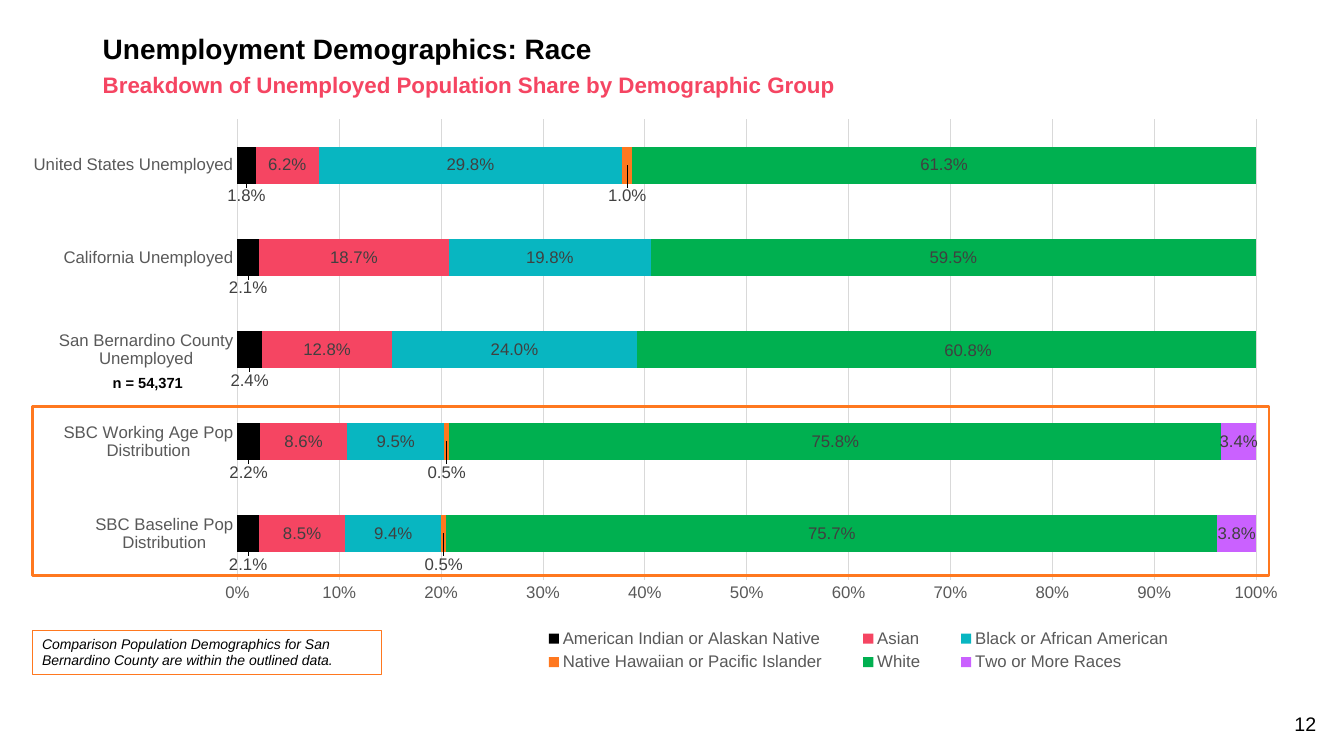
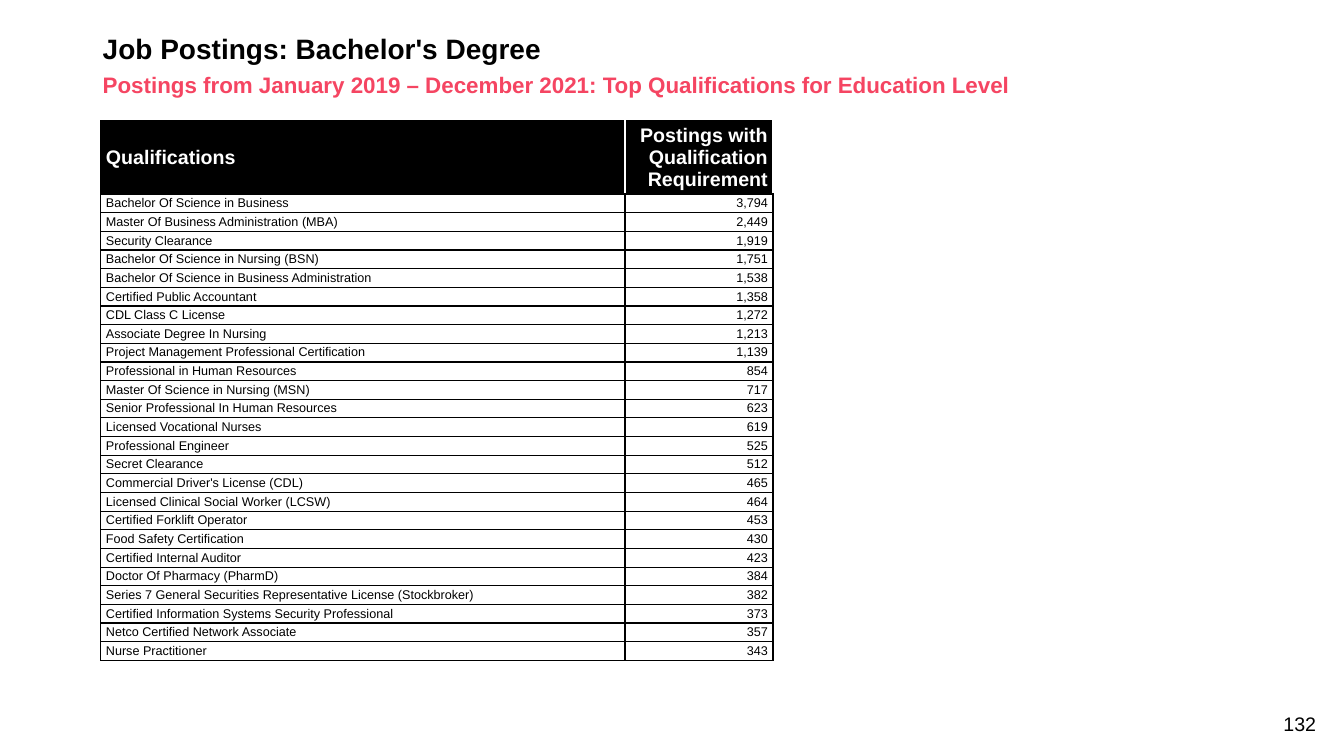
"""Build two workforce slides: unemployment by race and top job qualifications."""
from pptx import Presentation, util as u
from pptx.chart.data import CategoryChartData
from pptx.dml.color import RGBColor
from pptx.enum import chart as ch, shapes, text
from pptx.oxml import parse_xml
from pptx.oxml.ns import nsdecls, qn

BLACK = RGBColor(0, 0, 0)
WHITE = RGBColor(255, 255, 255)
PINK = RGBColor(0xF5, 0x45, 0x62)
TEAL = RGBColor(0x08, 0xB6, 0xC1)
ORANGE = RGBColor(0xFF, 0x78, 0x1F)
GREEN = RGBColor(0x00, 0xB0, 0x50)
PURPLE = RGBColor(0xCA, 0x61, 0xFF)
GRID = RGBColor(0xD9, 0xD9, 0xD9)
GRAY = RGBColor(0x59, 0x59, 0x59)
DARK = RGBColor(0x40, 0x40, 0x40)
FACE = "Arial"
LEFT, RIGHT = text.PP_ALIGN.LEFT, text.PP_ALIGN.RIGHT
TOP, MID, BASE = text.MSO_ANCHOR.TOP, text.MSO_ANCHOR.MIDDLE, text.MSO_ANCHOR.BOTTOM


def write(frame, words, size, color=BLACK, bold=False, align=LEFT, anchor=TOP):
    """Fill a text frame or table cell with one styled paragraph."""
    frame.text = words
    frame.word_wrap = True
    frame.vertical_anchor = anchor
    para = frame.paragraphs[0]
    para.alignment = align
    font = para.font
    font.name, font.size, font.bold = FACE, u.Pt(size), bold
    font.color.rgb = color
    return para


def layout(**parts):
    """Return a manual chart layout with the given settings in order."""
    tags = "".join(f'<c:{name} val="{value}"/>' for name, value in parts.items())
    return parse_xml(f'<c:layout {nsdecls("c")}><c:manualLayout>{tags}</c:manualLayout></c:layout>')


deck = Presentation()
deck.slide_width, deck.slide_height = u.Cm(33.87), u.Cm(19.05)
pages = []
for title, lead, number in (
    ("Unemployment Demographics: Race",
     "Breakdown of Unemployed Population Share by Demographic Group", "12"),
    ("Job Postings: Bachelor's Degree",
     "Postings from January 2019 – December 2021: Top Qualifications for Education Level", "132"),
):
    page = deck.slides.add_slide(deck.slide_layouts[6])
    for box, words, size, color, bold, align, anchor in (
        ((2.34, 0.76, 29.21, 1.02), title, 20, BLACK, True, LEFT, MID),
        ((2.34, 1.8, 29.21, 0.76), lead, 16, PINK, True, LEFT, MID),
        ((31.39, 17.81, 2.03, 0.86), number, 14, BLACK, False, RIGHT, BASE),
    ):
        frame = page.shapes.add_textbox(*map(u.Cm, box)).text_frame
        para = write(frame, words, size, color, bold, align, anchor)
        if bold:
            para.line_spacing = 0.9
    pages.append(page)
race, jobs = pages

data = CategoryChartData(number_format="0.0%")
data.categories = ["SBC Baseline Pop Distribution", "SBC Working Age Pop Distribution",
                   "San Bernardino County Unemployed", "California Unemployed",
                   "United States Unemployed"]
groups = [
    ("American Indian or Alaskan Native", BLACK, (0.021, 0.022, 0.024, 0.021, 0.018)),
    ("Asian", PINK, (0.085, 0.086, 0.128, 0.187, 0.062)),
    ("Black or African American", TEAL, (0.094, 0.095, 0.24, 0.198, 0.298)),
    ("Native Hawaiian or Pacific Islander", ORANGE, (0.005, 0.005, 0, 0, 0.01)),
    ("White", GREEN, (0.757, 0.758, 0.608, 0.595, 0.613)),
    ("Two or More Races", PURPLE, (0.038, 0.034, None, None, None)),
]
for name, color, shares in groups:
    data.add_series(name, shares)
chart = race.shapes.add_chart(ch.XL_CHART_TYPE.BAR_STACKED_100,
                              *map(u.Cm, (0.38, 2.62, 32.21, 14.73)), data).chart
chart.has_title = False
chart.font.name, chart.font.size = FACE, u.Pt(10)
chart.font.color.rgb = BLACK
plot = chart.plots[0]
plot.gap_width, plot.overlap = 150, 100
plot.vary_by_categories = False

chart.has_legend = True
legend = chart.legend
legend.position = ch.XL_LEGEND_POSITION.BOTTOM
legend.include_in_layout = False
cats, vals = chart.category_axis, chart.value_axis
for part in (legend, cats.tick_labels, vals.tick_labels):
    part.font.name, part.font.size = FACE, u.Pt(12)
    part.font.color.rgb = GRAY
for axis in (cats, vals):
    axis.major_tick_mark = axis.minor_tick_mark = ch.XL_TICK_MARK.NONE
vals.minimum_scale, vals.maximum_scale = 0, 1
vals.major_unit = 0.1
vals.tick_labels.number_format = "0%"
vals.tick_labels.number_format_is_linked = False
vals.format.line.fill.background()
cats.has_major_gridlines = False
vals.has_major_gridlines = True
for line in (cats.format.line, vals.major_gridlines.format.line):
    line.color.rgb, line.width = GRID, u.Pt(0.75)

area = chart.element.find(".//" + qn("c:plotArea"))
key = chart.element.find(".//" + qn("c:legend"))
for host, spot, place in (
    (area, 0, layout(layoutTarget="inner", xMode="edge", yMode="edge",
                     x=0.174, y=0.026, w=0.797, h=0.788)),
    (key, 1, layout(xMode="edge", yMode="edge", x=0.39, y=0.89, w=0.54, h=0.09)),
):
    for old in host.findall(qn("c:layout")):
        host.remove(old)
    host.insert(spot, place)

below = (0, 0.053)
moved = {
    "American Indian or Alaskan Native": dict.fromkeys(range(5), below),
    "Native Hawaiian or Pacific Islander": dict.fromkeys(range(5), below),
    "White": {2: (0.017, 0.003)},
}
for series, (name, color, shares) in zip(plot.series, groups):
    series.format.fill.solid()
    series.format.fill.fore_color.rgb = color
    labels = series.data_labels
    labels.show_value = True
    labels.number_format, labels.number_format_is_linked = "0.0%", False
    labels.font.name, labels.font.size = FACE, u.Pt(12)
    labels.font.color.rgb = DARK
    for index, (x, y) in moved.get(name, {}).items():
        font = series.points[index].data_label.font
        font.name, font.size = FACE, u.Pt(12)
        font.color.rgb = DARK
        label = labels._element.findall(qn("c:dLbl"))[-1]
        if shares[index]:
            label.insert(1, layout(x=x, y=y))
            label.insert(2, parse_xml(
                f'<c:numFmt {nsdecls("c")} formatCode="0.0%" sourceLinked="0"/>'))
        else:
            for child in label[1:]:
                label.remove(child)
            label.append(parse_xml(f'<c:delete {nsdecls("c")} val="1"/>'))

for box, width in (((0.81, 10.24, 31.17, 4.27), 2), ((0.81, 15.88, 8.81, 1.12), 0.75)):
    frame = race.shapes.add_shape(shapes.MSO_SHAPE.RECTANGLE, *map(u.Cm, box))
    frame.shadow.inherit = False
    frame.fill.background()
    frame.line.color.rgb, frame.line.width = ORANGE, u.Pt(width)
note = write(frame.text_frame, "Comparison Population Demographics for San Bernardino County "
             "are within the outlined data.", 10)
note.font.italic = True
count = race.shapes.add_textbox(*map(u.Cm, (2.59, 9.3, 2.41, 0.74)))
write(count.text_frame, "n = 54,371", 10.5, bold=True)

rows = [
    ("Qualifications", "Postings with Qualification Requirement"),
    ("Bachelor Of Science in Business", "3,794"),
    ("Master Of Business Administration (MBA)", "2,449"),
    ("Security Clearance", "1,919"),
    ("Bachelor Of Science in Nursing (BSN)", "1,751"),
    ("Bachelor Of Science in Business Administration", "1,538"),
    ("Certified Public Accountant", "1,358"),
    ("CDL Class C License", "1,272"),
    ("Associate Degree In Nursing", "1,213"),
    ("Project Management Professional Certification", "1,139"),
    ("Professional in Human Resources", "854"),
    ("Master Of Science in Nursing (MSN)", "717"),
    ("Senior Professional In Human Resources", "623"),
    ("Licensed Vocational Nurses", "619"),
    ("Professional Engineer", "525"),
    ("Secret Clearance", "512"),
    ("Commercial Driver's License (CDL)", "465"),
    ("Licensed Clinical Social Worker (LCSW)", "464"),
    ("Certified Forklift Operator", "453"),
    ("Food Safety Certification", "430"),
    ("Certified Internal Auditor", "423"),
    ("Doctor Of Pharmacy (PharmD)", "384"),
    ("Series 7 General Securities Representative License (Stockbroker)", "382"),
    ("Certified Information Systems Security Professional", "373"),
    ("Netco Certified Network Associate", "357"),
    ("Nurse Practitioner", "343"),
]
table = jobs.shapes.add_table(len(rows), 2, *map(u.Cm, (2.54, 3.05, 16.94, 13.48))).table
table.first_row = table.horz_banding = False
for column, width in zip(table.columns, (13.21, 3.73)):
    column.width = u.Cm(width)
for r, row in enumerate(rows):
    head = r == 0
    table.rows[r].height = u.Cm(1.73 if head else 0.47)
    for c, words in enumerate(row):
        cell = table.cell(r, c)
        write(cell.text_frame, words, 14 if head else 9, WHITE if head else BLACK,
              head, RIGHT if c else LEFT)
        cell.vertical_anchor = MID
        cell.margin_left = cell.margin_right = u.Cm(0.13)
        cell.margin_top = cell.margin_bottom = u.Cm(0.03)
        props = cell._tc.get_or_add_tcPr()
        for side in "LRTB":
            white = head and (side == "R" or side == "L" and c == 1)
            props.append(parse_xml(
                f'<a:ln{side} {nsdecls("a")} w="12700"><a:solidFill>'
                f'<a:srgbClr val="{WHITE if white else BLACK}"/></a:solidFill></a:ln{side}>'))
        if head:
            cell.fill.solid()
            cell.fill.fore_color.rgb = BLACK
        else:
            cell.fill.background()

deck.save("out.pptx")
